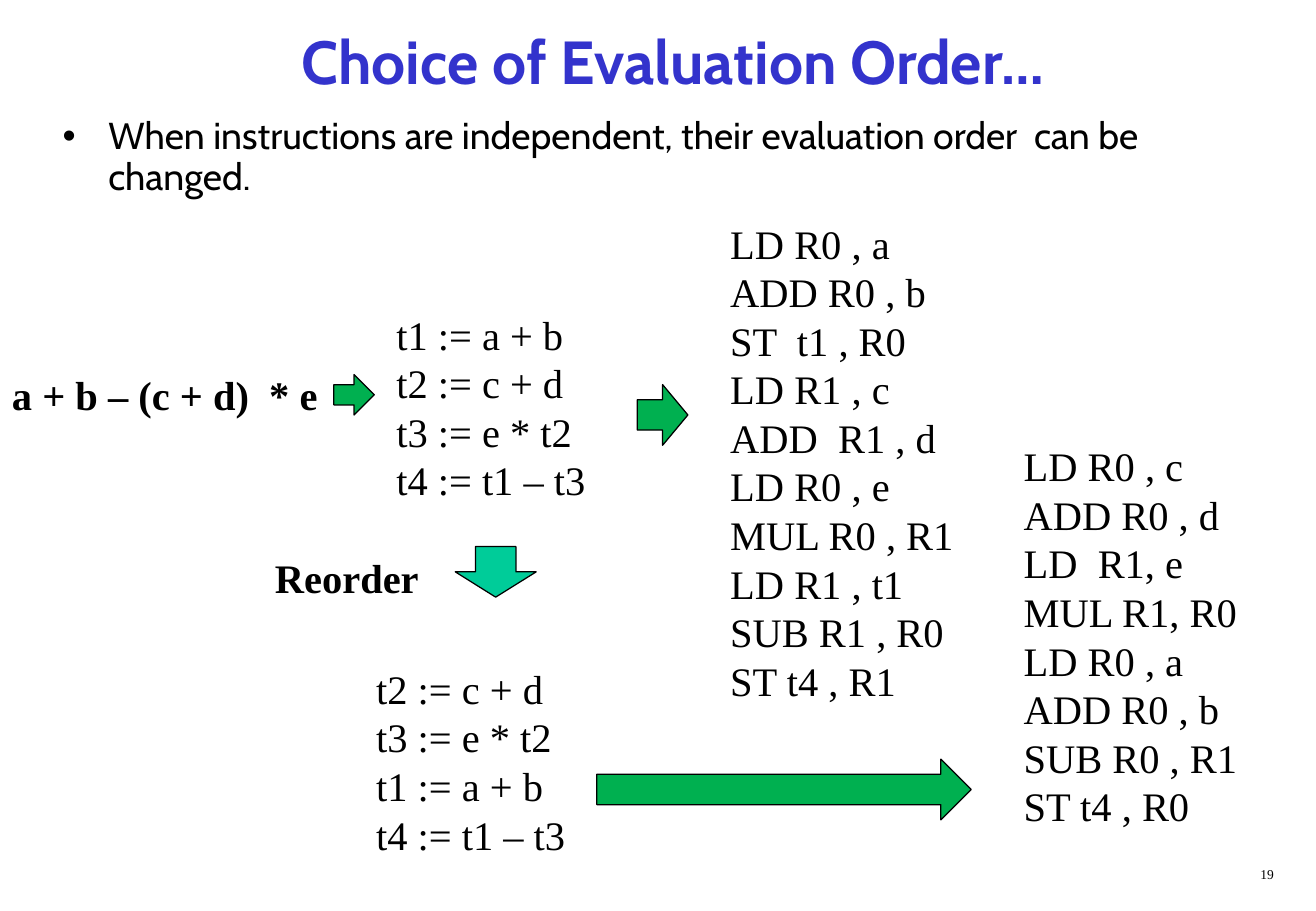
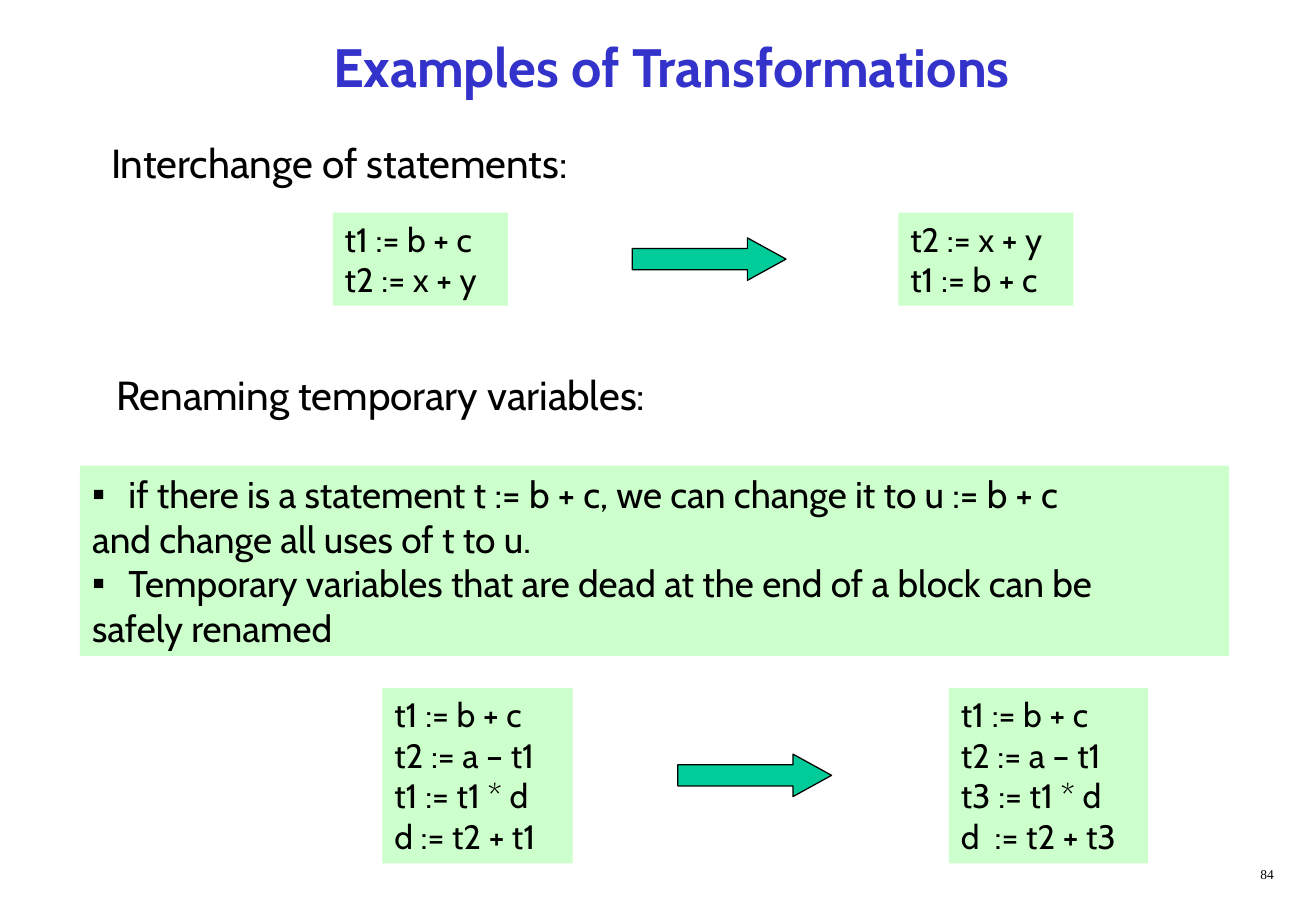
"""Builds two compiler slides on evaluation order and block transformations."""
from lxml.etree import SubElement
from pptx import Presentation
from pptx.dml.color import RGBColor
from pptx.enum.shapes import MSO_SHAPE as Preset
from pptx.enum.text import MSO_ANCHOR as Anchor, MSO_AUTO_SIZE as AutoSize, PP_ALIGN as Align
from pptx.oxml.ns import qn
from pptx.util import Inches, Pt

CELLS_PER_INCH = 12
SERIF, SANS = "Times New Roman", "Cabin"
BLACK, TITLE_BLUE, GREEN, TEAL, MINT = "000000", "3333CC", "00B050", "00CC99", "CCFFCC"
color = RGBColor.from_string


def cells(*counts):
    """Turn counts of grid cells into lengths."""
    return [Inches(count / CELLS_PER_INCH) for count in counts]


def write(shape, lines, size, name=SANS, ink=BLACK, bold=False, fill=None, anchor=Anchor.TOP, **layout):
    """Put formatted lines into a shape."""
    frame = shape.text_frame
    frame.text = "\n".join(lines)
    frame_format = {"word_wrap": True, "auto_size": AutoSize.NONE, "vertical_anchor": anchor}
    for key, value in frame_format.items():
        setattr(frame, key, value)
    if fill:
        shape.fill.solid()
        shape.fill.fore_color.rgb = color(fill)
    for paragraph in frame.paragraphs:
        for key, value in layout.items():
            setattr(paragraph, key, value)
        for run in paragraph.runs:
            for key, value in {"name": name, "size": Pt(size), "bold": bold}.items():
                setattr(run.font, key, value)
            run.font.color.rgb = color(ink)


presentation = Presentation()
presentation.slide_width, presentation.slide_height = Inches(10.84), Inches(7.5)

pages = [
    {
        "title": ("Choice of Evaluation Order…", 36, (5, 2, 123, 8)),
        "body": {
            "box": (5, 11, 123, 10),
            "lines": ["When instructions are independent, their evaluation order  can be changed."],
            "format": {"size": 22.2, "line_spacing": 0.9},
            "bullet": ("•", 4.5, (0,)),
        },
        "texts": [
            ((0, 36, 36, 6), ["a + b – (c + d)  * e"], {"bold": True}),
            ((26, 54, 18, 6), ["Reorder"], {"bold": True}),
            ((38, 30, 24, 20.4), ["t1 := a + b", "t2 := c + d", "t3 := e * t2", "t4 := t1 – t3"], {}),
            ((36, 65, 24, 20.4), ["t2 := c + d", "t3 := e * t2", "t1 := a + b", "t4 := t1 – t3"], {}),
            ((71, 21, 27, 54), [
                "LD R0 , a", "ADD R0 , b", "ST  t1 , R0", "LD R1 , c", "ADD  R1 , d",
                "LD R0 , e", "MUL R0 , R1", "LD R1 , t1", "SUB R1 , R0", "ST t4 , R1"], {}),
            ((100, 43, 27, 39.6), [
                "LD R0 , c", "ADD R0 , d", "LD  R1, e", "MUL R1, R0",
                "LD R0 , a", "ADD R0 , b", "SUB R0 , R1", "ST t4 , R0"], {}),
        ],
        "text_format": {"size": 24, "name": SERIF},
        "arrows": [
            (Preset.RIGHT_ARROW, (33, 37, 4, 4), GREEN, 0.5),
            (Preset.RIGHT_ARROW, (63, 38, 5, 6), GREEN, 0.5),
            (Preset.DOWN_ARROW, (45, 54, 8, 5), TEAL, 0.5),
            (Preset.RIGHT_ARROW, (59, 75, 37, 6), GREEN, 0.5),
        ],
        "number": "19",
    },
    {
        "title": ("Examples of Transformations", 32, (5.8, 3, 121.2, 7)),
        "body": {
            "box": (7.9, 46, 113.6, 18.8),
            "lines": [
                "if there is a statement t := b + c, we can change it to u := b + c",
                "and change all uses of t to u.",
                "Temporary variables that are dead at the end of a block can be",
                "safely renamed",
            ],
            "format": {"size": 22, "line_spacing": 1.0, "fill": MINT},
            "bullet": ("▪", 3.6, (0, 2)),
        },
        "texts": [
            ((9.8, 13, 60, 6), ["Interchange of statements:"], {"size": 24}),
            ((10.3, 36, 66, 6), ["Renaming temporary variables:"], {"size": 24}),
            ((32.9, 21, 17.3, 9.2), ["t1 := b + c", "t2 := x + y"], {"fill": MINT}),
            ((88.8, 21, 17.3, 9.2), ["t2 := x + y", "t1 := b + c"], {"fill": MINT}),
            ((37.8, 68, 18.8, 17.3),
             ["t1 := b + c", "t2 := a – t1", "t1 := t1 * d", "d := t2 + t1"], {"fill": MINT}),
            ((93.8, 68, 19.7, 17.3),
             ["t1 := b + c", "t2 := a – t1", "t3 := t1 * d", "d  := t2 + t3"], {"fill": MINT}),
        ],
        "text_format": {"size": 20},
        "arrows": [
            (Preset.RIGHT_ARROW, (62.5, 23.5, 15.2, 4.2), TEAL, 0.91),
            (Preset.RIGHT_ARROW, (67, 74.5, 15.2, 4.2), TEAL, 0.91),
        ],
        "number": "84",
    },
]

for page in pages:
    slide = presentation.slides.add_slide(presentation.slide_layouts[1])
    title, body = slide.placeholders
    heading, heading_size, heading_box = page["title"]
    content = page["body"]
    for placeholder, box in ((title, heading_box), (body, content["box"])):
        for key, value in zip(("left", "top", "width", "height"), cells(*box)):
            setattr(placeholder, key, value)
    write(title, [heading], heading_size, ink=TITLE_BLUE, bold=True,
          anchor=Anchor.MIDDLE, alignment=Align.CENTER)
    write(body, content["lines"], space_before=Pt(0), **content["format"])

    symbol, indent, bulleted = content["bullet"]
    for index, paragraph in enumerate(body.text_frame.paragraphs):
        properties = paragraph._p.get_or_add_pPr()
        hanging = cells(indent)[0] if index in bulleted else 0
        properties.set("marL", str(hanging))
        properties.set("indent", str(-hanging))
        if hanging:
            SubElement(properties, qn("a:buChar")).set("char", symbol)
        else:
            SubElement(properties, qn("a:buNone"))

    for box, lines, changes in page["texts"]:
        write(slide.shapes.add_textbox(*cells(*box)), lines, **{**page["text_format"], **changes})

    for preset, box, fill, head_length in page["arrows"]:
        arrow = slide.shapes.add_shape(preset, *cells(*box))
        arrow.shadow.inherit = False
        arrow.adjustments[1] = head_length
        arrow.fill.solid()
        arrow.fill.fore_color.rgb = color(fill)
        arrow.line.color.rgb = color(BLACK)
        arrow.line.width = Pt(0.75)

    write(slide.shapes.add_textbox(*cells(100, 85, 27.1, 3)), [page["number"]], 8,
          name=SERIF, alignment=Align.RIGHT)

presentation.save("out.pptx")
